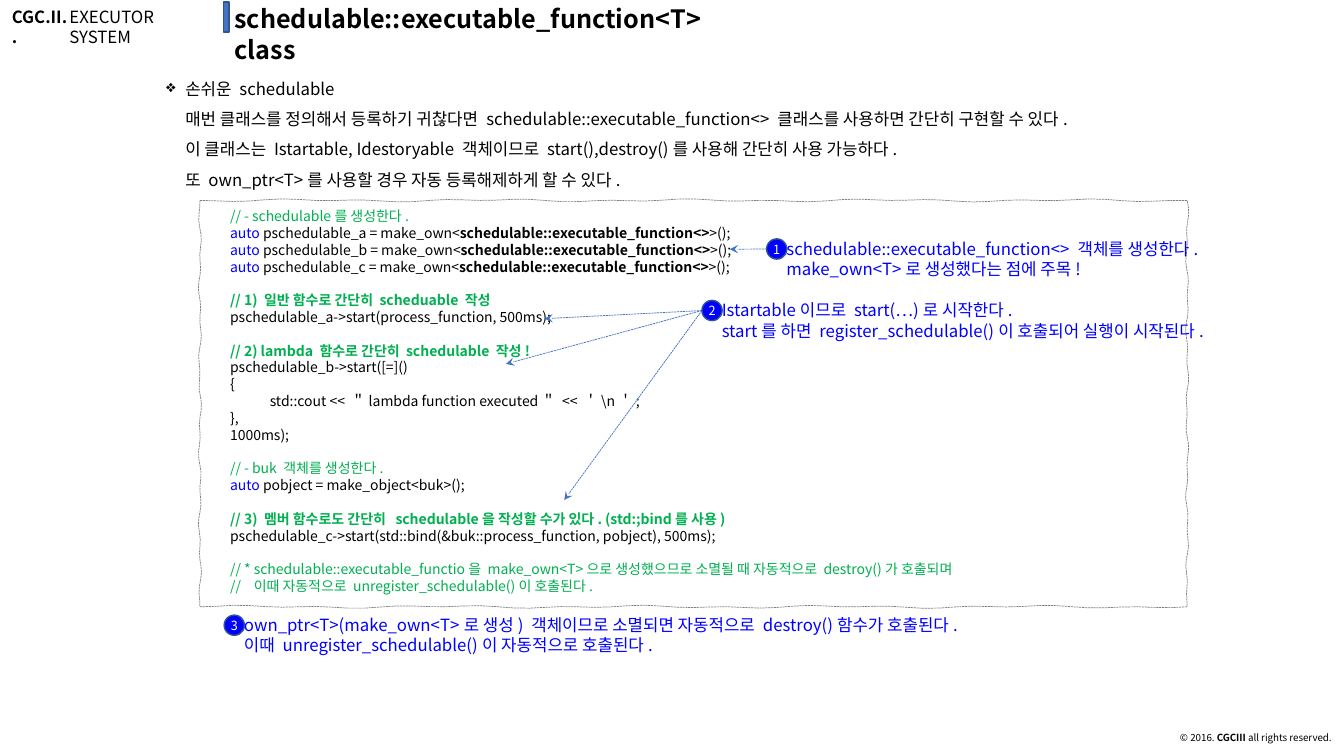
from math import sin

from lxml.etree import SubElement
from pptx import Presentation
from pptx.dml.color import RGBColor
from pptx.enum.dml import MSO_LINE
from pptx.enum.shapes import MSO_CONNECTOR, MSO_SHAPE
from pptx.enum.text import MSO_ANCHOR, PP_ALIGN
from pptx.oxml.ns import qn
from pptx.util import Cm, Pt

FONT = "Noto Sans CJK KR"
BLACK = RGBColor(0x00, 0x00, 0x00)
WHITE = RGBColor(0xFF, 0xFF, 0xFF)
GRAY = RGBColor(0x80, 0x80, 0x80)
GREEN = RGBColor(0x00, 0xB0, 0x50)
BLUE = RGBColor(0x00, 0x00, 0xFF)
ACCENT = RGBColor(0x44, 0x72, 0xC4)
ACCENT_DARK = RGBColor(0x32, 0x54, 0x91)

FUNCTION_TYPE = "schedulable::executable_function<>"

INTRO = """손쉬운 schedulable
매번 클래스를 정의해서 등록하기 귀찮다면 schedulable::executable_function<> 클래스를 사용하면 간단히 구현할 수 있다.
이 클래스는 Istartable, Idestoryable 객체이므로 start(),destroy()를 사용해 간단히 사용 가능하다.
또 own_ptr<T>를 사용할 경우 자동 등록해제하게 할 수 있다."""

CODE_BLOCKS = [
    ["// - schedulable를 생성한다."]
    + [f"auto pschedulable_{letter} = make_own<{FUNCTION_TYPE}>();" for letter in "abc"],
    ["// 1) 일반 함수로 간단히 scheduable 작성",
     "pschedulable_a->start(process_function, 500ms);"],
    ["// 2) lambda 함수로 간단히 schedulable 작성!",
     "pschedulable_b->start([=]()",
     "{",
     "\tstd::cout << ＂lambda function executed＂ << ＇\\n＇;",
     "},",
     "1000ms);"],
    ["// - buk 객체를 생성한다.",
     "auto pobject = make_object<buk>();"],
    ["// 3) 멤버 함수로도 간단히  schedulable을 작성할 수가 있다. (std:;bind를 사용)",
     "pschedulable_c->start(std::bind(&buk::process_function, pobject), 500ms);"],
    ["// * schedulable::executable_functio을 make_own<T>으로 생성했으므로 "
     "소멸될 때 자동적으로 destroy()가 호출되며",
     "//   이때 자동적으로 unregister_schedulable()이 호출된다."],
]

# number, left, top, width, paragraphs, arrow targets (cm)
CALLOUTS = [
    ("1", 19.28, 5.89, 13,
     ["schedulable::executable_function<> 객체를 생성한다.\nmake_own<T>로 생성했다는 점에 주목!"],
     [(18.39, 6.28)]),
    ("2", 17.65, 7.44, 15.06,
     ["Istartable이므로 start(…)로 시작한다.",
      "start를 하면 register_schedulable()이 호출되어 실행이 시작된다."],
     [(13.72, 8.03), (12.75, 9.17), (14.22, 12.6)]),
    ("3", 5.61, 15.37, 24.89,
     ["own_ptr<T>(make_own<T>로 생성) 객체이므로 소멸되면 자동적으로 destroy()함수가 호출된다.\n"
      "이때 unregister_schedulable()이 자동적으로 호출된다."],
     []),
]


def add_span(para, text, size=12, color=BLACK, bold=False):
    for number, line in enumerate(text.split("\n")):
        if number:
            para.add_line_break()
        span = para.add_run()
        span.text = line
        span.font.name = FONT
        span.font.size = Pt(size)
        span.font.bold = bold
        span.font.color.rgb = color
        SubElement(span.font._element, qn("a:ea"), typeface=FONT)


def next_para(frame, first):
    return frame.paragraphs[0] if first else frame.add_paragraph()


def set_indent(para, left, first_line=0):
    props = para._p.get_or_add_pPr()
    props.set("marL", str(Cm(left)))
    props.set("indent", str(Cm(first_line)))
    return props


def code_spans(line):
    """Split a code line into (text, format) pairs by its syntax."""
    if line.startswith("//"):
        return [(line, {"color": GREEN, "bold": line[3].isdigit()})]
    spans = []
    if line.startswith("auto"):
        spans.append(("auto", {"color": BLUE}))
        line = line.removeprefix("auto")
    before, name, after = line.partition(FUNCTION_TYPE)
    spans += [(before, {}), (name, {"bold": True}), (after, {})]
    return [span for span in spans if span[0]]


class SlideBuilder:
    def __init__(self, page):
        self.shapes = page.shapes

    def text_box(self, left, top, width, height):
        box = self.shapes.add_textbox(Cm(left), Cm(top), Cm(width), Cm(height))
        box.text_frame.word_wrap = True
        return box.text_frame

    def label(self, left, top, width, height, text, **style):
        para = self.text_box(left, top, width, height).paragraphs[0]
        add_span(para, text, **style)
        return para

    def shape(self, kind, left, top, width, height, fill):
        shape = self.shapes.add_shape(kind, Cm(left), Cm(top), Cm(width), Cm(height))
        shape.shadow.inherit = False
        shape.fill.solid()
        shape.fill.fore_color.rgb = fill
        shape.line.color.rgb = ACCENT_DARK
        shape.line.width = Pt(1)
        return shape

    def dotted(self, line, color):
        line.color.rgb = color
        line.width = Pt(0.5)
        line.dash_style = MSO_LINE.SQUARE_DOT

    def arrow(self, start, end):
        arrow = self.shapes.add_connector(
            MSO_CONNECTOR.STRAIGHT, *(Cm(value) for value in start + end))
        self.dotted(arrow.line, ACCENT)
        SubElement(arrow.line._get_or_add_ln(), qn("a:tailEnd"), type="stealth")
        SubElement(arrow._element.spPr, qn("a:effectLst"))

    def sketched_frame(self, left, top, width, height, wobble=0.04, steps=60):
        """Draw a rectangle whose sides waver as if drawn by hand."""
        corners = [(left, top), (left + width, top),
                   (left + width, top + height), (left, top + height)]
        points = []
        for side, (x, y) in enumerate(corners):
            end_x, end_y = corners[(side + 1) % 4]
            for step in range(steps):
                part = step / steps
                shift = wobble * sin(step * 0.9) * sin(step * 0.37 + side)
                points.append((Cm(x + (end_x - x) * part + shift * (side % 2)),
                               Cm(y + (end_y - y) * part + shift * (1 - side % 2))))
        outline = self.shapes.build_freeform(*points[0], scale=1.0)
        outline.add_line_segments(points[1:], close=True)
        frame = outline.convert_to_shape()
        frame.shadow.inherit = False
        frame.fill.solid()
        frame.fill.fore_color.rgb = WHITE
        self.dotted(frame.line, GRAY)
        return frame

    def code(self, frame, blocks):
        text = frame.text_frame
        text.word_wrap = True
        text.vertical_anchor = MSO_ANCHOR.TOP
        text.margin_left = text.margin_right = Cm(0.8)
        text.margin_top = text.margin_bottom = Cm(0.22)
        for block_number, block in enumerate(blocks):
            for line_number, line in enumerate(block):
                para = next_para(text, block_number == line_number == 0)
                para.alignment = PP_ALIGN.LEFT
                if block_number and not line_number:
                    para.space_before = Pt(12)
                if line.startswith("\t"):
                    tabs = SubElement(para._p.get_or_add_pPr(), qn("a:tabLst"))
                    SubElement(tabs, qn("a:tab"), pos=str(Cm(1)), algn="l")
                for content, style in code_spans(line):
                    add_span(para, content, size=10, **style)

    def bullet_text(self, left, top, width, height, text):
        para = self.text_box(left, top, width, height).paragraphs[0]
        para.line_spacing = 1.5
        props = set_indent(para, 0.48, -0.48)
        SubElement(props, qn("a:buChar"), char="❖")
        add_span(para, text)

    def callout(self, number, left, top, width, texts, targets):
        frame = self.text_box(left, top, width, 1.27)
        for order, text in enumerate(texts):
            para = next_para(frame, order == 0)
            set_indent(para, 0.29)
            add_span(para, text, color=BLUE)
        size, dot_left, dot_top = 0.51, left + 0.04, top + 0.13
        for target in targets:
            self.arrow((dot_left, dot_top + size / 2), target)
        dot = self.shape(MSO_SHAPE.OVAL, dot_left, dot_top, size, size, BLUE)
        frame = dot.text_frame
        frame.margin_left = frame.margin_right = frame.margin_top = frame.margin_bottom = 0
        frame.vertical_anchor = MSO_ANCHOR.MIDDLE
        frame.paragraphs[0].alignment = PP_ALIGN.CENTER
        add_span(frame.paragraphs[0], number, size=9, color=WHITE)


def main():
    deck = Presentation()
    deck.slide_width, deck.slide_height = Cm(33.87), Cm(19.05)
    builder = SlideBuilder(deck.slides.add_slide(deck.slide_layouts[6]))

    builder.label(5.66, -0.03, 13.49, 1.02, "schedulable::executable_function<T> class",
                  size=18, bold=True)
    footer = builder.label(27.08, 18.36, 6.73, 0.66, "© 2016. ", size=7)
    footer.alignment = PP_ALIGN.RIGHT
    footer.line_spacing = 0.9
    add_span(footer, "CGCIII", size=7, bold=True)
    add_span(footer, " all rights reserved.", size=7)
    builder.label(0.05, 0.05, 1.96, 0.76, "CGC.II..", bold=True)
    builder.code(builder.sketched_frame(5.04, 5.05, 24.88, 10.24), CODE_BLOCKS)
    builder.bullet_text(3.94, 1.6, 27.18, 3.23, INTRO)
    for callout in CALLOUTS:
        builder.callout(*callout)
    builder.label(1.5, 0.05, 4.27, 0.76, "EXECUTOR SYSTEM")
    builder.shape(MSO_SHAPE.RECTANGLE, 5.64, 0.05, 0.13, 0.76, ACCENT)
    deck.save("out.pptx")


if __name__ == "__main__":
    main()
